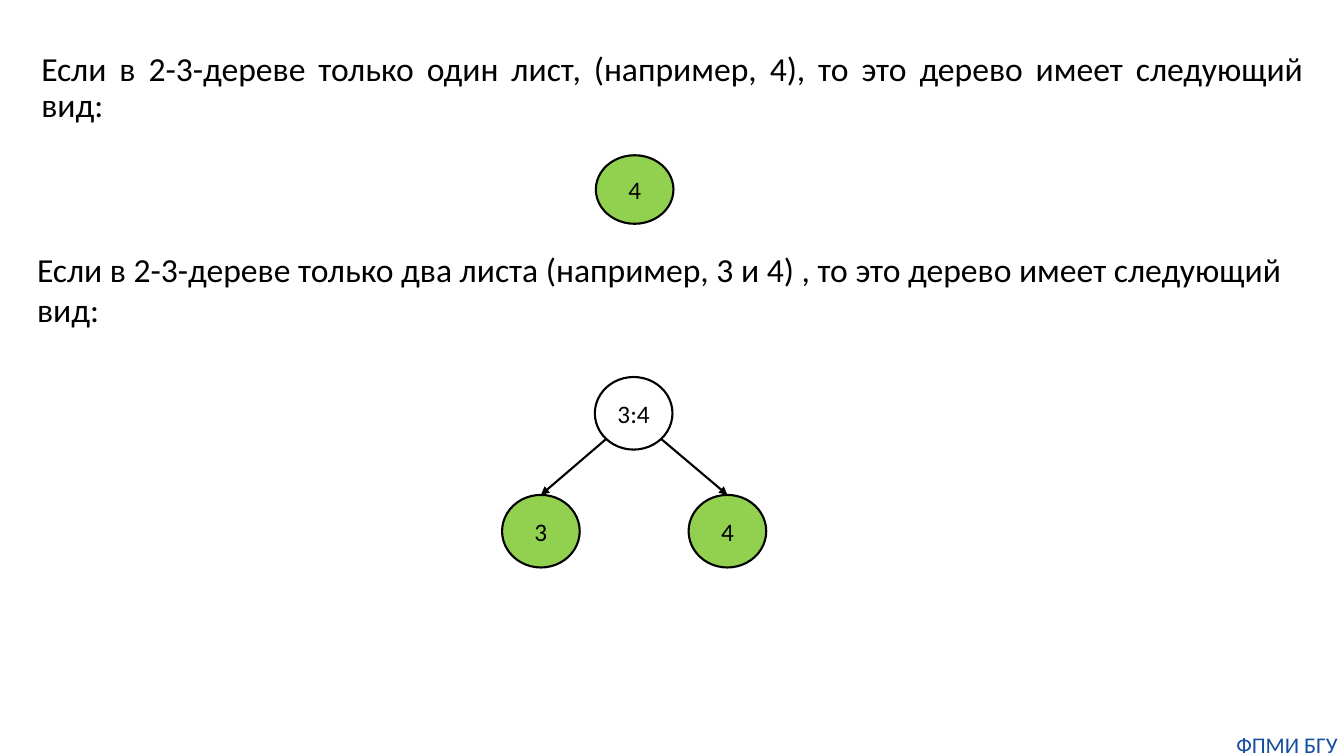
"""Build a slide showing 2-3 trees with one leaf and with two leaves."""
from math import sqrt

from lxml import etree
from pptx import Presentation
from pptx.dml.color import RGBColor
from pptx.enum.shapes import MSO_CONNECTOR, MSO_SHAPE
from pptx.enum.text import MSO_ANCHOR, MSO_AUTO_SIZE, PP_ALIGN
from pptx.oxml.ns import qn
from pptx.util import Inches, Pt

ONE = "Если в 2-3-дереве только один лист, (например, 4), то это дерево имеет следующий вид:"
TWO = "Если в 2-3-дереве только два листа (например, 3 и 4) , то это дерево имеет следующий вид:"
FOOTER = "ФПМИ БГУ"
SINGLE = ("4", 5.91, 1.54, 0.68)
ROOT = ("3:4", 5.9, 3.74, 0.72)
LEAVES = [("3", -0.92), ("4", 0.93)]
DROP = 1.17
NODE_W = 0.77
COLORS = {"ink": "000000", "leaf": "92D050", "footer": "144E9D"}

FONT = "Calibri"
LEFT, CENTER, JUSTIFY = PP_ALIGN.LEFT, PP_ALIGN.CENTER, PP_ALIGN.JUSTIFY
MIDDLE = MSO_ANCHOR.MIDDLE
FIT, FIXED = MSO_AUTO_SIZE.SHAPE_TO_FIT_TEXT, MSO_AUTO_SIZE.NONE
OVAL = MSO_SHAPE.OVAL
STRAIGHT = MSO_CONNECTOR.STRAIGHT


def color(name):
    return RGBColor.from_string(COLORS[name])


def write(shape, text, size=24, ink="ink", align=LEFT, fit=FIXED, inset=None):
    frame = shape.text_frame
    frame.word_wrap = True
    frame.auto_size = fit
    if inset is not None:
        frame.margin_left = frame.margin_right = Inches(inset)
        frame.margin_top = frame.margin_bottom = Inches(inset)
    para = frame.paragraphs[0]
    para.alignment = align
    run = para.add_run()
    run.text = text
    run.font.name = FONT
    run.font.size = Pt(size)
    run.font.color.rgb = color(ink)
    return para


def add_box(slide, *place):
    return slide.shapes.add_textbox(*map(Inches, place))


def add_node(slide, text, left, top, high, fill=None):
    node = slide.shapes.add_shape(
        OVAL, Inches(left), Inches(top), Inches(NODE_W), Inches(high))
    node.shadow.inherit = False
    if fill:
        node.fill.solid()
        node.fill.fore_color.rgb = color(fill)
    else:
        node.fill.background()
    node.line.color.rgb = color("ink")
    node.line.width = Pt(1.5)
    write(node, text, size=18, align=CENTER, inset=0)
    node.text_frame.vertical_anchor = MIDDLE
    return node


def add_arrow(slide, root, leaf, side):
    reach = 1 / sqrt(8)
    x = root.left + int(root.width * (0.5 + side * reach))
    y = root.top + int(root.height * (0.5 + reach))
    arrow = slide.shapes.add_connector(STRAIGHT, x, y, x, y)
    arrow.end_connect(leaf, 0)
    arrow.line.color.rgb = color("ink")
    arrow.line.width = Pt(1.5)
    etree.SubElement(arrow.line._get_or_add_ln(), qn("a:tailEnd"), type="triangle")
    etree.SubElement(arrow._element.spPr, qn("a:effectLst"))


def main():
    deck = Presentation()
    deck.slide_width, deck.slide_height = Inches(13.33), Inches(7.5)
    slide = deck.slides.add_slide(deck.slide_layouts[1])
    title, body = slide.placeholders
    title._element.getparent().remove(title._element)

    body.left, body.top = Inches(0.31), Inches(0.47)
    body.width, body.height = Inches(12.72), Inches(0.88)
    para = write(body, ONE, align=JUSTIFY)
    para.line_spacing = 0.9
    para.space_before = Pt(10)
    props = para._p.get_or_add_pPr()
    props.set("marL", "0")
    props.set("indent", "0")
    etree.SubElement(props, qn("a:buNone"))

    add_node(slide, *SINGLE, fill="leaf")
    write(add_box(slide, 0.27, 2.42, 12.8, 0.91), TWO, fit=FIT)

    root = add_node(slide, *ROOT)
    _, left, top, high = ROOT
    for text, shift in LEAVES:
        leaf = add_node(slide, text, left + shift, top + DROP, high, fill="leaf")
        add_arrow(slide, root, leaf, 1 if shift > 0 else -1)

    write(add_box(slide, 12.2, 7.25, 1.13, 0.27), FOOTER,
          size=16, ink="footer", align=CENTER, fit=FIT, inset=0)
    deck.save("out.pptx")


if __name__ == "__main__":
    main()
